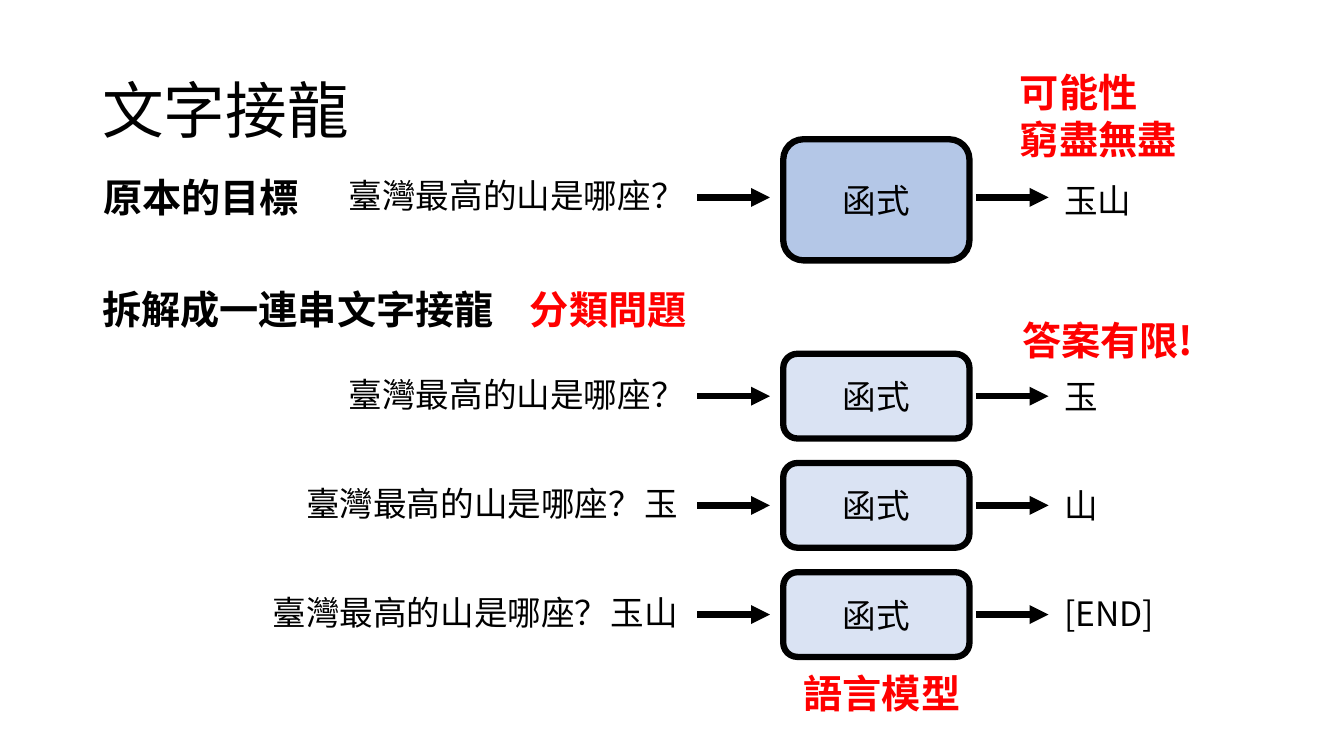
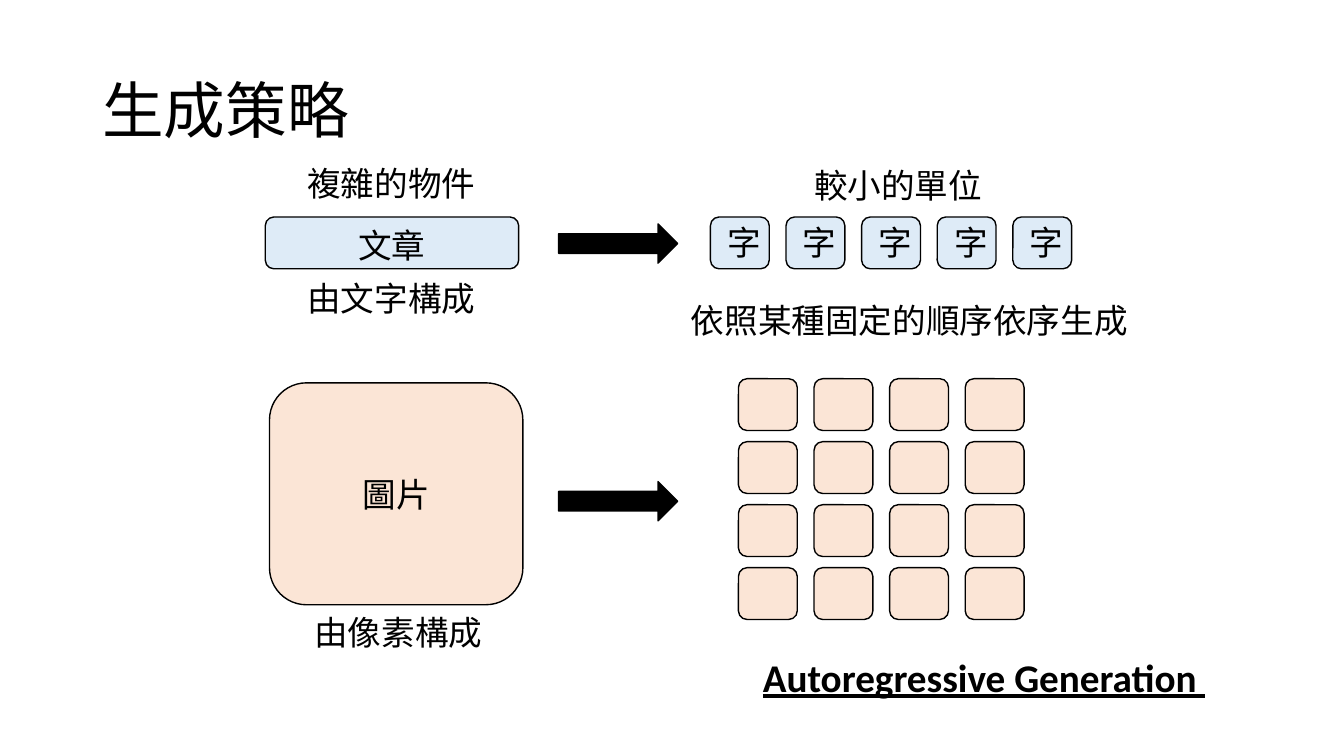
"""Build two slides on word chaining and generation strategy."""
from dataclasses import dataclass

from lxml.etree import SubElement
from pptx import Presentation
from pptx.dml.color import RGBColor as RGB
from pptx.enum.shapes import MSO_CONNECTOR as LINK, MSO_SHAPE as FORM
from pptx.enum.text import MSO_ANCHOR as ANCHOR, PP_ALIGN as ALIGN
from pptx.oxml.ns import qn
from pptx.shapes.autoshape import Shape
from pptx.slide import Slide
from pptx.text.text import TextFrame
from pptx.util import Pt

BLACK = RGB(0x00, 0x00, 0x00)
RED = RGB(0xFF, 0x00, 0x00)
BLUE = RGB(0xB4, 0xC7, 0xE7)
PALE = RGB(0xDA, 0xE3, 0xF3)
SKY = RGB(0xDE, 0xEB, 0xF7)
PEACH = RGB(0xFB, 0xE5, 0xD6)
SANS = "Noto Sans CJK SC"
LATIN = "Calibri"
ASK = "臺灣最高的山是哪座？"


@dataclass
class Style:
    size: float = 24
    color: RGB = BLACK
    bold: bool = False
    align: ALIGN = ALIGN.LEFT
    face: str = SANS
    under: bool = False
    space: float = 1


@dataclass
class Label:
    text: str
    left: float
    top: float
    width: float
    style: Style


@dataclass
class Row:
    mid: float
    box_top: float
    height: float
    fill: RGB
    edge: float
    added: str
    reply: str
    reply_top: float


BODY = Style()
MID = Style(align=ALIGN.CENTER)
HEAD = Style(44, space=0.9)
BOLD = Style(28, bold=True)
RIGHT = Style(28, bold=True, align=ALIGN.RIGHT)
NOTE = Style(28, RED, True)
MODEL = Style(28, RED, True, ALIGN.CENTER)
TERM = Style(28, bold=True, align=ALIGN.CENTER, face=LATIN, under=True)

ROWS = [
    Row(141, 99.5, 86.5, BLUE, 483.5, "", "玉山", 125),
    Row(283, 252.75, 60.5, PALE, 483.5, "", "玉", 265),
    Row(361, 330.75, 60.5, PALE, 453, "玉", "山", 342.5),
    Row(439, 408.75, 60.5, PALE, 429, "玉山", "[END]", 420),
]
CHAIN = [
    Label("原本的目標", 44.5, 120, 176, RIGHT),
    Label("拆解成一連串文字接龍", 66, 200, 402, BOLD),
    Label("語言模型", 538.5, 474.5, 183, MODEL),
    Label("可能性\n窮盡無盡", 721.5, 45.5, 153, NOTE),
    Label("答案有限!", 723, 222.5, 153, NOTE),
    Label("分類問題", 371.5, 200, 153, NOTE),
]
PLAN = [
    Label("文章", 214, 157, 132, MID),
    Label("圖片", 217, 335, 132, MID),
    Label("較小的單位", 539, 114.5, 205, MID),
    Label("複雜的物件", 177, 112.5, 205, MID),
    Label("由文字構成", 196.5, 195, 166, MID),
    Label("由像素構成", 201.5, 433.5, 166, MID),
    Label("依照某種固定的順序依序生成", 484, 211, 331, MID),
    Label("Autoregressive Generation ", 489.5, 463, 427, TERM),
]


def write(frame: TextFrame, text: str, style: Style) -> None:
    frame.word_wrap = True
    frame.text = text
    for para in frame.paragraphs:
        para.alignment = style.align
        para.line_spacing = style.space
        font = para.font
        font.size, font.name = Pt(style.size), style.face
        font.bold, font.underline = style.bold, style.under
        font.color.rgb = style.color
        props = para._p.pPr.find(qn("a:defRPr"))
        SubElement(props, qn("a:ea"), typeface=style.face)


def label(slide: Slide, item: Label) -> Shape:
    lines = item.text.count("\n") + 1
    box = slide.shapes.add_textbox(Pt(item.left), Pt(item.top), Pt(item.width),
                                   Pt(item.style.size * 1.5 * lines))
    write(box.text_frame, item.text, item.style)
    return box


def block(slide: Slide, form: FORM, left: float, top: float, width: float,
          height: float, fill: RGB, line: float = 1) -> Shape:
    shape = slide.shapes.add_shape(form, Pt(left), Pt(top), Pt(width), Pt(height))
    shape.shadow.inherit = False
    shape.fill.solid()
    shape.fill.fore_color.rgb = fill
    shape.line.color.rgb = BLACK
    shape.line.width = Pt(line)
    return shape


def arrow(slide: Slide, left: float, mid: float) -> None:
    link = slide.shapes.add_connector(LINK.STRAIGHT, Pt(left), Pt(mid),
                                      Pt(left + 52), Pt(mid))
    link.line.color.rgb = BLACK
    link.line.width = Pt(4.5)
    props = link._element.spPr
    SubElement(props.find(qn("a:ln")), qn("a:tailEnd"), type="triangle")
    SubElement(props, qn("a:effectLst"))


def start(deck: Presentation, title: str) -> Slide:
    slide = deck.slides.add_slide(deck.slide_layouts[6])
    box = label(slide, Label(title, 66, 29, 828, HEAD))
    box.height = Pt(104)
    box.text_frame.vertical_anchor = ANCHOR.MIDDLE
    return slide


def step(slide: Slide, row: Row) -> None:
    box = block(slide, FORM.ROUNDED_RECTANGLE, 559.5, row.box_top, 133,
                row.height, row.fill, 4.5)
    box.text_frame.vertical_anchor = ANCHOR.MIDDLE
    write(box.text_frame, "函式", MID)
    top = row.mid - 19.5
    label(slide, Label(ASK, row.edge - 241.5, top, 298, BODY))
    if row.added:
        label(slide, Label(row.added, row.edge, top, 86, BODY))
    for left in (498, 697):
        arrow(slide, left, row.mid)
    label(slide, Label(row.reply, 753, row.reply_top, 86, BODY))


def tile(slide: Slide, left: float, top: float, fill: RGB) -> None:
    block(slide, FORM.ROUNDED_RECTANGLE, left, top, 42, 37, fill)


def chain(deck: Presentation) -> None:
    slide = start(deck, "文字接龍")
    for row in ROWS:
        step(slide, row)
    for item in CHAIN:
        label(slide, item)


def plan(deck: Presentation) -> None:
    slide = start(deck, "生成策略")
    block(slide, FORM.ROUNDED_RECTANGLE, 189.5, 155, 181, 37, SKY)
    block(slide, FORM.ROUNDED_RECTANGLE, 192.5, 273.5, 181, 158.5, PEACH)
    for top in (160, 344):
        block(slide, FORM.RIGHT_ARROW, 399, top, 85, 28, BLACK)
    for col in range(5):
        left = 507.5 + 54 * col
        tile(slide, left, 155, SKY)
        label(slide, Label("字", left + 5, 155, 33, MID))
    for row in range(4):
        for col in range(4):
            tile(slide, 527.5 + 54 * col, 270.5 + 45 * row, PEACH)
    for item in PLAN:
        label(slide, item)


def main() -> None:
    deck = Presentation()
    deck.slide_width, deck.slide_height = Pt(960), Pt(540)
    chain(deck)
    plan(deck)
    deck.save("out.pptx")


if __name__ == "__main__":
    main()
